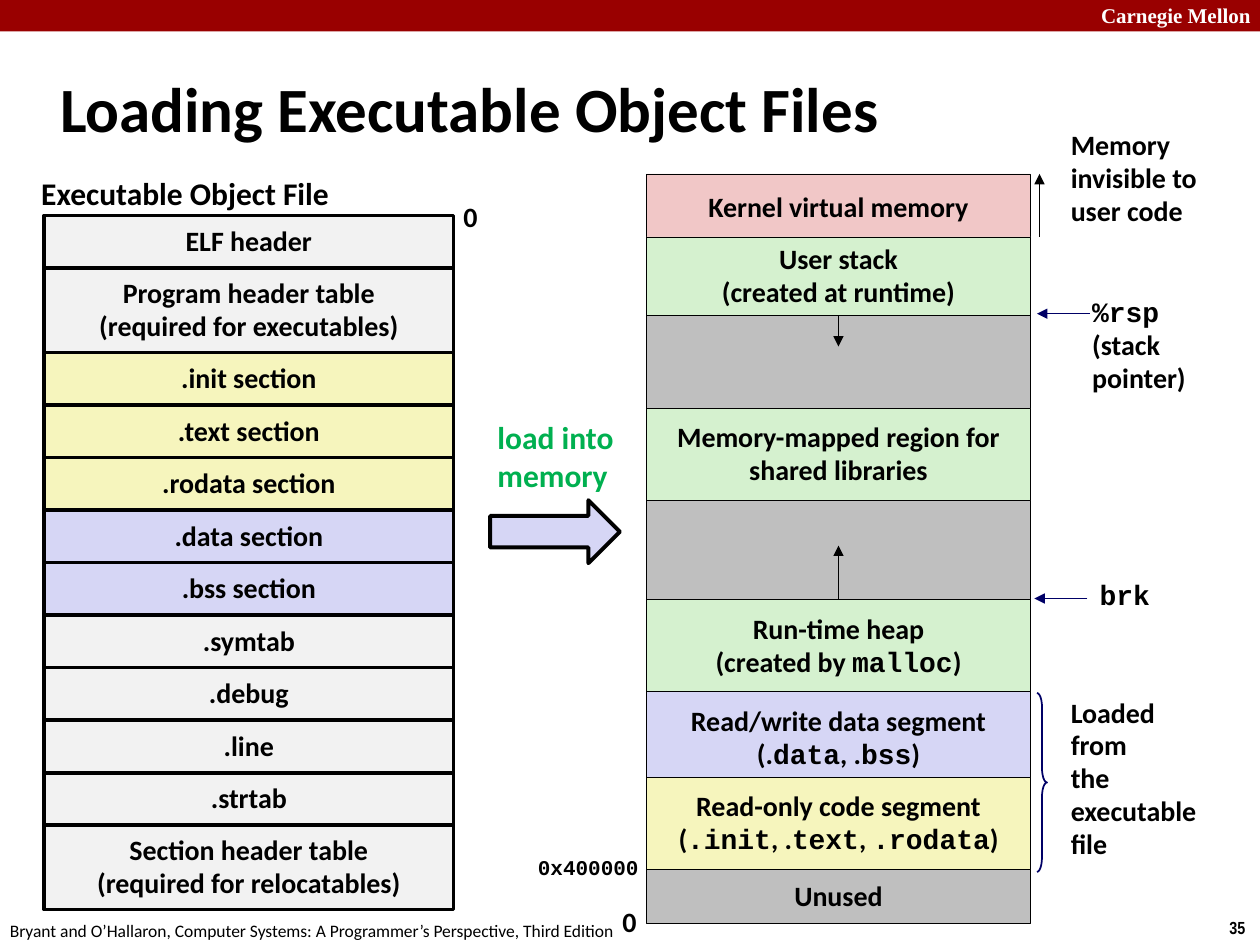
from lxml import etree
from pptx import Presentation
from pptx.dml.color import RGBColor
from pptx.enum.shapes import MSO_CONNECTOR, MSO_SHAPE
from pptx.enum.text import MSO_ANCHOR, MSO_AUTO_SIZE, PP_ALIGN
from pptx.oxml.ns import qn
from pptx.util import Inches, Pt

RECT, ARROW, BRACE = MSO_SHAPE.RECTANGLE, MSO_SHAPE.RIGHT_ARROW, MSO_SHAPE.RIGHT_BRACE
STRAIGHT = MSO_CONNECTOR.STRAIGHT
MIDDLE, TOP = MSO_ANCHOR.MIDDLE, MSO_ANCHOR.TOP
LEFT, CENTER = PP_ALIGN.LEFT, PP_ALIGN.CENTER
GROW, FIXED = MSO_AUTO_SIZE.SHAPE_TO_FIT_TEXT, MSO_AUTO_SIZE.NONE
SANS, MONO = "Calibri", "Courier New"
BLACK, WHITE, NAVY = "000000", "FFFFFF", "000066"
PINK, GREEN, GRAY = "F1C7C7", "D5F1CF", "BFBFBF"
BLUE, YELLOW, PALE = "D6D6F5", "F6F5BD", "F2F2F2"


def rgb(value):
    return RGBColor.from_string(value)


def write(sp, lines, size=16, color=BLACK, bold=True, font=SANS, align=LEFT,
          anchor=TOP, wrap=False, grow=True, spacing=0.98):
    tf = sp.text_frame
    tf.word_wrap = wrap
    tf.auto_size = GROW if grow else FIXED
    tf.vertical_anchor = anchor
    for i, line in enumerate(lines):
        p = tf.paragraphs[0] if i == 0 else tf.add_paragraph()
        p.alignment = align
        p.line_spacing = 0.94 if line.startswith("`") else spacing
        for j, part in enumerate(line.split("`")):
            if part:
                r = p.add_run()
                r.text = part
                r.font.name = MONO if j % 2 else font
                r.font.size = Pt(size)
                r.font.bold = bold
                r.font.color.rgb = rgb(color)


def add_text(s, x, y, w, h, lines, **style):
    sp = s.shapes.add_textbox(Inches(x), Inches(y), Inches(w), Inches(h))
    write(sp, lines, **style)


def add_shape(s, kind, x, y, w, h, fill=None, line=None, weight=1.0):
    sp = s.shapes.add_shape(kind, Inches(x), Inches(y), Inches(w), Inches(h))
    sp.shadow.inherit = False
    if fill:
        sp.fill.solid()
        sp.fill.fore_color.rgb = rgb(fill)
    else:
        sp.fill.background()
    if line:
        sp.line.color.rgb = rgb(line)
        sp.line.width = Pt(weight)
    else:
        sp.line.fill.background()
    return sp


def add_arrow(s, x1, y1, x2, y2, color=BLACK):
    c = s.shapes.add_connector(STRAIGHT, Inches(x1), Inches(y1), Inches(x2), Inches(y2))
    c.line.color.rgb = rgb(color)
    c.line.width = Pt(0.25)
    etree.SubElement(c.line._get_or_add_ln(), qn("a:tailEnd"), type="triangle")
    etree.SubElement(c._element.spPr, qn("a:effectLst"))


def add_block(s, x, y, w, h, lines, fill, weight):
    sp = add_shape(s, RECT, x, y, w, h, fill, BLACK, weight)
    write(sp, lines, align=CENTER, anchor=MIDDLE, grow=False)


def add_frame(s, w, h):
    add_shape(s, RECT, 0, 0, w, 0.25, "990000")
    add_text(s, w - 1.36, -0.03, 1.43, 0.3, ["Carnegie Mellon"], size=12, color=WHITE,
             font="Times New Roman", wrap=True, spacing=1.0)
    add_text(s, w - 0.34, h - 0.27, 0.34, 0.27, ["35"], size=10,
             font="Arial Narrow", spacing=1.0)
    add_text(s, -0.02, h - 0.25, 5.08, 0.27,
             ["Bryant and O’Hallaron, Computer Systems: A Programmer’s Perspective, Third Edition"],
             size=10, bold=False, spacing=1.0)
    add_text(s, 0.38, 0.42, 9.53, 0.86, ["Loading Executable Object Files"], size=36,
             anchor=MIDDLE, wrap=True, grow=False, spacing=1.0)


def add_object_file(s, x, y, w, h):
    sections = [
        (["ELF header"], PALE),
        (["Program header table", "(required for executables)"], PALE),
        ([".init section"], YELLOW),
        ([".text section"], YELLOW),
        ([".rodata section"], YELLOW),
        ([".data section"], BLUE),
        ([".bss section"], BLUE),
        ([".symtab"], PALE),
        ([".debug"], PALE),
        ([".line"], PALE),
        ([".strtab"], PALE),
        (["Section header table", "(required for relocatables)"], PALE),
    ]
    tall = 0.67
    doubles = sum(len(lines) == 2 for lines, _ in sections)
    short = (h - doubles * tall) / (len(sections) - doubles)
    top = y
    for lines, fill in sections:
        height = tall if len(lines) == 2 else short
        add_block(s, x, top, w, height, lines, fill, 2)
        top += height
    add_text(s, x - 0.13, y - 0.36, 2.5, 0.4, ["Executable Object File"], size=18, align=CENTER)
    add_text(s, x + w - 0.02, y - 0.16, 0.31, 0.37, ["0"])


def add_load_step(s, x, y, w, h):
    add_shape(s, ARROW, x, y + h - 0.5, w, 0.5, BLUE, BLACK, 2.25)
    add_text(s, x - 0.04, y, 1.24, 0.71, ["load into memory"], size=18, color="00B050",
             wrap=True, spacing=1.0)


def add_memory_image(s, x, y, w, h):
    segments = [
        (0, 0.53, ["Kernel virtual memory"], PINK),
        (0.87, 0.99, [], GRAY),
        (0.5, 0.62, ["User stack", "(created at runtime)"], GREEN),
        (1.86, 0.73, ["Memory-mapped region for", "shared libraries"], GREEN),
        (2.59, 0.79, [], GRAY),
        (3.38, 0.73, ["Run-time heap", "(created by `malloc`)"], GREEN),
        (4.11, 0.73, ["Read/write data segment", "(.`data`, .`bss`)"], BLUE),
        (4.79, 0.73, ["Read-only code segment", "(`.init`, .`text`, `.rodata`)"], YELLOW),
        (h - 0.43, 0.43, ["Unused"], GRAY),
    ]
    for top, height, lines, fill in segments:
        add_block(s, x, y + top, w, height, lines, fill, 0.25)

    middle, right = x + w / 2, x + w
    add_arrow(s, middle, y + 1.12, middle, y + 1.37)
    add_arrow(s, middle, y + 3.37, middle, y + 2.95)
    add_arrow(s, right + 0.07, y + 0.5, right + 0.07, y)
    add_arrow(s, right + 0.47, y + 1.11, right + 0.05, y + 1.11, NAVY)
    add_arrow(s, right + 0.45, y + 3.37, right + 0.03, y + 3.37, NAVY)
    brace = add_shape(s, BRACE, right + 0.05, y + 4.12, 0.08, 1.42, line=NAVY)
    brace.adjustments[0] = 1.42

    add_text(s, right + 0.22, y - 0.4, 1.44, 0.9, ["Memory", "invisible to user code"], wrap=True)
    add_text(s, right + 0.39, y + 0.93, 0.95, 0.88, ["`%rsp`", "(stack", "pointer)"])
    add_text(s, right + 0.45, y + 3.18, 0.6, 0.36, ["`brk`"])
    add_text(s, right + 0.22, y + 4.1, 1.26, 1.42,
             ["Loaded", "from", "the", "executable", "file"])
    add_text(s, x - 0.96, y + 5.37, 1.01, 0.3, ["`0x400000`"], size=12)
    add_text(s, x - 0.29, y + 5.76, 0.31, 0.37, ["0"])


def main():
    prs = Presentation()
    prs.slide_width, prs.slide_height = Inches(10), Inches(7.5)
    s = prs.slides.add_slide(prs.slide_layouts[6])
    add_frame(s, 10, 7.5)
    add_object_file(s, 0.35, 1.71, 3.25, 5.51)
    add_memory_image(s, 5.13, 1.38, 3.05, 5.95)
    add_load_step(s, 3.89, 3.27, 1.03, 1.2)
    prs.save("out.pptx")


if __name__ == "__main__":
    main()
